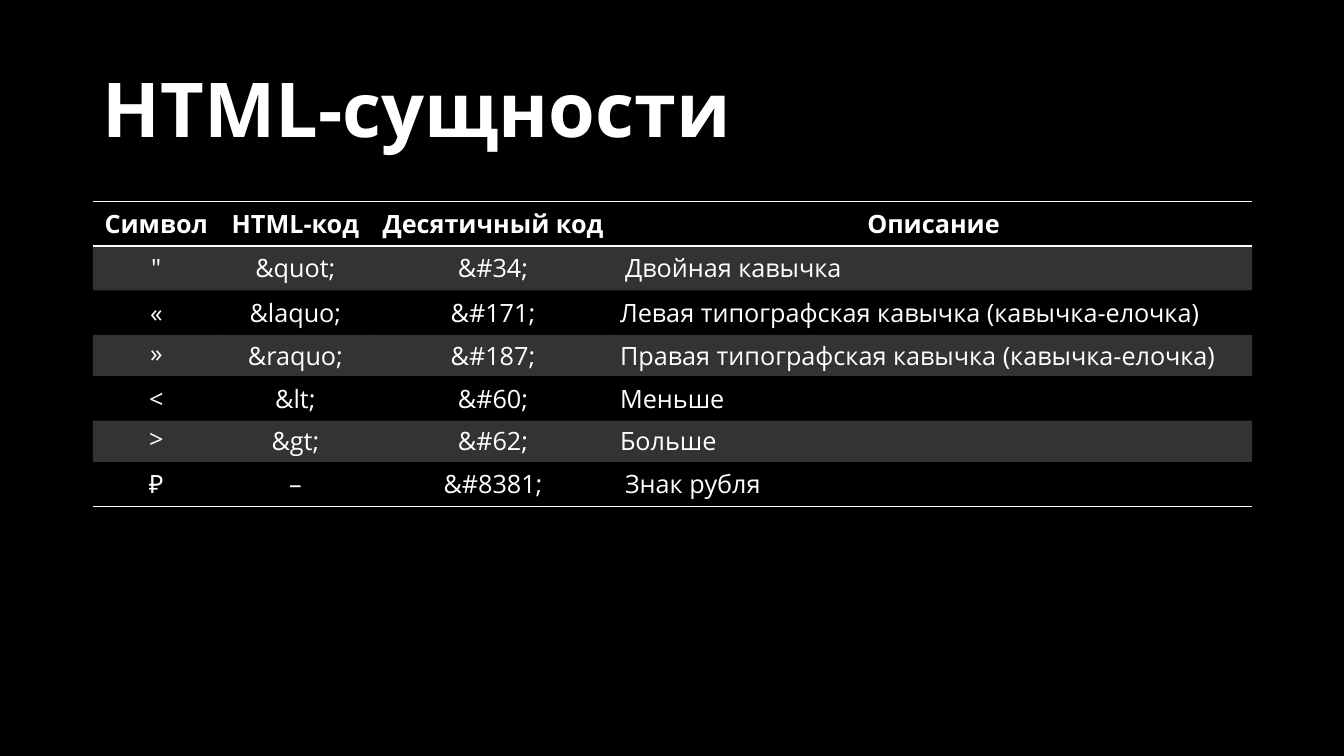
from lxml import etree
from pptx import Presentation, util as u
from pptx.dml.color import RGBColor
from pptx.enum import text
from pptx.oxml import ns

COLORS = {"background": "000000", "ink": "FFFFFF"}
FONT = "Open Sans"
PLAIN_STYLE = "{2D5ABB26-0587-4C30-8999-92F81FD0307C}"
LEFT, WIDTH = 0.92, 11.5
COLUMN_WIDTHS = [1.26, 1.5, 2.42, 6.32]
ROW_HEIGHT = 0.41
HEADER = ("Символ", "HTML-код", "Десятичный код", "Описание")
ENTITIES = [
    ('"', "&quot;", "&#34;", "Двойная кавычка"),
    ("«", "&laquo;", "&#171;", "Левая типографская кавычка (кавычка-елочка)"),
    ("»", "&raquo;", "&#187;", "Правая типографская кавычка (кавычка-елочка)"),
    ("<", "&lt;", "&#60;", "Меньше"),
    (">", "&gt;", "&#62;", "Больше"),
    ("₽", "–", "&#8381;", "Знак рубля"),
]


def write(frame, words, size=18, bold=False, align=text.PP_ALIGN.LEFT, spacing=None):
    paragraph = frame.paragraphs[0]
    paragraph.alignment = align
    paragraph.line_spacing = spacing
    run = paragraph.add_run()
    run.text = words
    run.font.name = FONT
    run.font.size = u.Pt(size)
    run.font.bold = bold
    run.font.color.rgb = RGBColor.from_string(COLORS["ink"])


def add_title(slide, words):
    title = slide.shapes.title
    title.left, title.top = u.Inches(LEFT), u.Inches(0.4)
    title.width, title.height = u.Inches(WIDTH), u.Inches(1.45)
    frame = title.text_frame
    frame.auto_size = text.MSO_AUTO_SIZE.NONE
    frame.vertical_anchor = text.MSO_ANCHOR.MIDDLE
    write(frame, words, size=54, bold=True, spacing=0.9)


def add_border(cell, side):
    """Draw a 1 pt line on a side, "T" or "B"; call before the cell is filled."""
    properties = cell._tc.get_or_add_tcPr()
    line = etree.SubElement(properties, ns.qn(f"a:ln{side}"), w=str(u.Pt(1)))
    fill = etree.SubElement(line, ns.qn("a:solidFill"))
    etree.SubElement(fill, ns.qn("a:srgbClr"), val=COLORS["ink"])


def shade(cell, opacity=20):
    cell.fill.solid()
    cell.fill.fore_color.rgb = RGBColor.from_string(COLORS["ink"])
    color = cell._tc.tcPr.find(".//" + ns.qn("a:solidFill") + "/" + ns.qn("a:srgbClr"))
    etree.SubElement(color, ns.qn("a:alpha"), val=str(opacity * 1000))


def tighten(cell):
    cell.margin_left = cell.margin_right = u.Inches(0.05)
    cell.margin_top = cell.margin_bottom = u.Inches(0.01)


def format_cell(cell, words, row, column):
    is_header, is_last = row == 0, row == len(ENTITIES)
    is_shaded = row % 2 == 1
    is_inner = 1 < row < len(ENTITIES)
    centred = is_header or column < len(HEADER) - 1
    write(cell.text_frame, words, bold=is_header,
          align=text.PP_ALIGN.CENTER if centred else text.PP_ALIGN.LEFT)
    if is_inner and column > 0:
        cell.vertical_anchor = text.MSO_ANCHOR.MIDDLE
    if is_inner and (column > 0 or is_shaded):
        tighten(cell)
    if is_header:
        add_border(cell, "T")
    if is_header or is_last:
        add_border(cell, "B")
    if is_shaded:
        shade(cell)
    else:
        cell.fill.background()


def add_entity_table(slide):
    rows = [HEADER, *ENTITIES]
    frame = slide.shapes.add_table(
        len(rows), len(HEADER), u.Inches(LEFT), u.Inches(2),
        u.Inches(WIDTH), u.Inches(ROW_HEIGHT * len(rows)))
    table = frame.table
    table.horz_banding = False
    table._tbl.tblPr.find(ns.qn("a:tableStyleId")).text = PLAIN_STYLE
    for column, width in zip(table.columns, COLUMN_WIDTHS):
        column.width = u.Inches(width)
    for row, values in enumerate(rows):
        table.rows[row].height = u.Inches(ROW_HEIGHT)
        for column, words in enumerate(values):
            format_cell(table.cell(row, column), words, row, column)


def main():
    presentation = Presentation()
    presentation.slide_width, presentation.slide_height = u.Inches(13.33), u.Inches(7.5)
    slide = presentation.slides.add_slide(presentation.slide_layouts[5])
    slide.background.fill.solid()
    slide.background.fill.fore_color.rgb = RGBColor.from_string(COLORS["background"])
    add_title(slide, "HTML-сущности")
    add_entity_table(slide)
    presentation.save("out.pptx")


if __name__ == "__main__":
    main()
